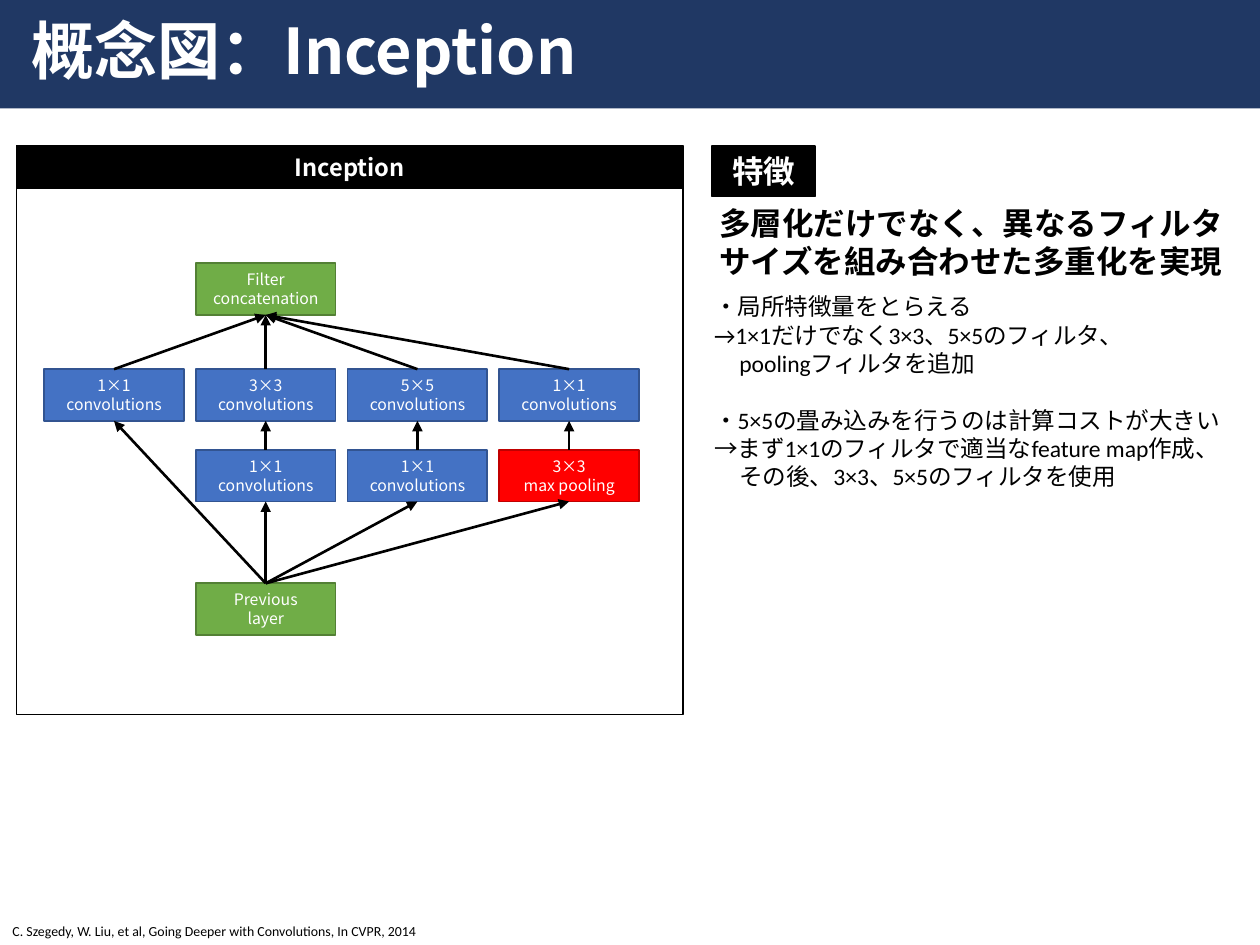
import pptx
import pptx.util
import pptx.dml.color
import pptx.enum.shapes
import pptx.enum.text
import pptx.oxml.ns
from lxml import etree

RGBColor = pptx.dml.color.RGBColor
WHITE = RGBColor(0xFF, 0xFF, 0xFF)
BLACK = RGBColor(0, 0, 0)
NAVY = RGBColor(0x20, 0x38, 0x64)
GREEN = RGBColor(0x70, 0xAD, 0x47)
DARK_GREEN = RGBColor(0x53, 0x80, 0x35)
BLUE = RGBColor(0x44, 0x72, 0xC4)
DARK_BLUE = RGBColor(0x32, 0x54, 0x91)
RED = RGBColor(0xFF, 0, 0)
DARK_RED = RGBColor(0xC0, 0, 0)

GOTHIC = "Noto Sans CJK JP"
LATIN = "Calibri"
CENTER = pptx.enum.text.PP_ALIGN.CENTER
MIDDLE = pptx.enum.text.MSO_ANCHOR.MIDDLE
TOP, BOTTOM = 0, 2

SLIDE_WIDTH = pptx.util.Inches(10)
SLIDE_HEIGHT = pptx.util.Inches(7.5)
FIRST_COLUMN, COLUMN_STEP = 3.5, 12.04
ROW_TOPS = (27.87, 39.07, 47.6, 61.73)
NODE_WIDTH, NODE_HEIGHT = 11.1, 5.47

NODES = {
    "concatenation": (1, 0, ("Filter", "concatenation"), GREEN, DARK_GREEN),
    "conv 1×1": (0, 1, ("1×1", "convolutions"), BLUE, DARK_BLUE),
    "conv 3×3": (1, 1, ("3×3", "convolutions"), BLUE, DARK_BLUE),
    "conv 5×5": (2, 1, ("5×5", "convolutions"), BLUE, DARK_BLUE),
    "projection": (3, 1, ("1×1", "convolutions"), BLUE, DARK_BLUE),
    "reduce 3×3": (1, 2, ("1×1", "convolutions"), BLUE, DARK_BLUE),
    "reduce 5×5": (2, 2, ("1×1", "convolutions"), BLUE, DARK_BLUE),
    "pooling": (3, 2, ("3×3", "max pooling"), RED, DARK_RED),
    "previous": (1, 3, ("Previous", "layer"), GREEN, DARK_GREEN),
}
BRANCHES = (
    ("previous", "conv 1×1", "concatenation"),
    ("previous", "reduce 3×3", "conv 3×3", "concatenation"),
    ("previous", "reduce 5×5", "conv 5×5", "concatenation"),
    ("previous", "pooling", "projection", "concatenation"),
)
FEATURES = (
    ("・局所特徴量をとらえる", 0, 0),
    ("→1×1だけでなく3×3、5×5のフィルタ、", 0, 0),
    ("poolingフィルタを追加", 0.2, 0),
    ("・5×5の畳み込みを行うのは計算コストが大きい", 0, 16.2),
    ("→まず1×1のフィルタで適当なfeature map作成、", 0, 0),
    ("その後、3×3、5×5のフィルタを使用", 0.2, 0),
)


def percent_box(left, top, width, height):
    return (int(SLIDE_WIDTH * left / 100), int(SLIDE_HEIGHT * top / 100),
            int(SLIDE_WIDTH * width / 100), int(SLIDE_HEIGHT * height / 100))


def write_line(frame, position, text, size, color, font=GOTHIC, bold=False):
    line = frame.paragraphs[0] if position == 0 else frame.add_paragraph()
    run = line.add_run()
    run.text = text
    run.font.size = pptx.util.Pt(size)
    run.font.name = font
    run.font.bold = bold
    run.font.color.rgb = color
    if font == GOTHIC:
        east_asian = etree.SubElement(run.font._element, pptx.oxml.ns.qn("a:ea"))
        east_asian.set("typeface", font)
    return line


def add_panel(slide, area, fill, outline=None, lines=(), size=9, bold=False):
    panel = slide.shapes.add_shape(
        pptx.enum.shapes.MSO_SHAPE.RECTANGLE, *percent_box(*area))
    panel.shadow.inherit = False
    panel.fill.solid()
    panel.fill.fore_color.rgb = fill
    if outline is None:
        panel.line.fill.background()
    else:
        panel.line.color.rgb = outline
        panel.line.width = pptx.util.Pt(1)
    frame = panel.text_frame
    frame.vertical_anchor = MIDDLE
    for position, text in enumerate(lines):
        write_line(frame, position, text, size, WHITE, bold=bold).alignment = CENTER
    return panel


def add_text_area(slide, area, wrap=True):
    frame = slide.shapes.add_textbox(*percent_box(*area)).text_frame
    frame.word_wrap = wrap
    return frame


def add_node(slide, column, row, lines, fill, outline):
    area = (FIRST_COLUMN + column * COLUMN_STEP, ROW_TOPS[row], NODE_WIDTH, NODE_HEIGHT)
    node = add_panel(slide, area, fill, outline, lines)
    frame = node.text_frame
    frame.margin_left = frame.margin_right = pptx.util.Inches(0.07)
    frame.margin_top = frame.margin_bottom = pptx.util.Inches(0.04)
    return node


def add_arrow(slide, source, target):
    arrow = slide.shapes.add_connector(
        pptx.enum.shapes.MSO_CONNECTOR.STRAIGHT, 0, 0, 0, 0)
    arrow.begin_connect(source, TOP)
    arrow.end_connect(target, BOTTOM)
    arrow.line.color.rgb = BLACK
    arrow.line.width = pptx.util.Pt(1.5)
    head = etree.SubElement(arrow.line._get_or_add_ln(), pptx.oxml.ns.qn("a:tailEnd"))
    head.set("type", "triangle")
    etree.SubElement(arrow._element.spPr, pptx.oxml.ns.qn("a:effectLst"))


def add_heading(slide):
    add_panel(slide, (0, 0, 100, 11.47), NAVY)
    title = add_text_area(slide, (1.5, 2.67, 86.2, 6.13))
    title.vertical_anchor = MIDDLE
    write_line(title, 0, "概念図：Inception", 36, WHITE, bold=True).line_spacing = 0.9


def add_diagram(slide):
    add_panel(slide, (1.3, 15.47, 52.9, 60.13), WHITE, BLACK)
    nodes = {name: add_node(slide, *details) for name, details in NODES.items()}
    for branch in BRANCHES:
        for source, target in zip(branch, branch[1:]):
            add_arrow(slide, nodes[source], nodes[target])
    add_panel(slide, (1.3, 15.47, 52.9, 4.4), BLACK, BLACK, ("Inception",), 13.5, True)


def add_features(slide):
    add_panel(slide, (56.5, 15.47, 8.2, 5.33), BLACK, BLACK, ("特徴",), 18, True)
    summary = add_text_area(slide, (56.1, 20.93, 42.6, 9.47))
    write_line(summary, 0, "多層化だけでなく、異なるフィルタサイズを組み合わせた多重化を実現",
               18, BLACK, bold=True)
    details = add_text_area(slide, (55.7, 30.27, 44.3, 22.53), wrap=False)
    for position, (text, indent, gap) in enumerate(FEATURES):
        line = write_line(details, position, text, 13.5, BLACK, LATIN)
        if indent:
            line._p.get_or_add_pPr().set("marL", str(pptx.util.Inches(indent)))
        if gap:
            line.space_before = pptx.util.Pt(gap)


def add_citation(slide):
    citation = add_text_area(slide, (0, 96.93, 39.2, 3.07), wrap=False)
    write_line(citation, 0,
               "C. Szegedy, W. Liu, et al, Going Deeper with Convolutions, In CVPR, 2014",
               7.9, BLACK, LATIN)


def main():
    deck = pptx.Presentation()
    deck.slide_width, deck.slide_height = SLIDE_WIDTH, SLIDE_HEIGHT
    slide = deck.slides.add_slide(deck.slide_layouts[6])
    add_heading(slide)
    add_diagram(slide)
    add_features(slide)
    add_citation(slide)
    deck.save("out.pptx")


if __name__ == "__main__":
    main()
